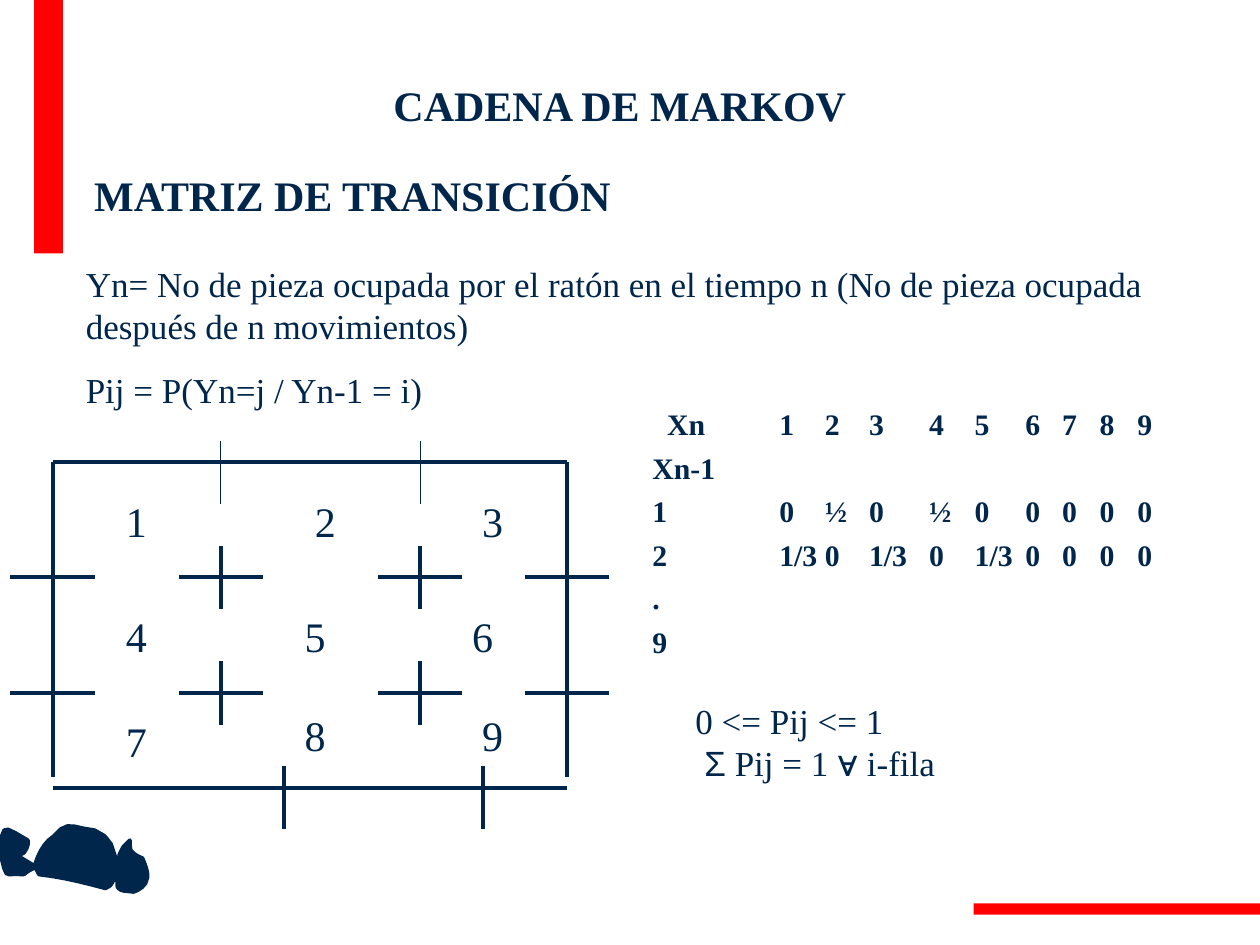
"""Build the slide on the transition matrix of a Markov chain for a mouse in a maze."""
from lxml.etree import SubElement
from pptx import Presentation
from pptx.dml.color import RGBColor
from pptx.enum.shapes import MSO_CONNECTOR, MSO_SHAPE
from pptx.enum.text import PP_ALIGN
from pptx.oxml.ns import qn
from pptx.util import Cm, Pt

NAVY = RGBColor(0x00, 0x26, 0x4C)
RED = RGBColor(0xFF, 0x00, 0x00)

presentation = Presentation()
presentation.slide_width = Cm(25.4)
presentation.slide_height = Cm(19.05)
slide = presentation.slides.add_slide(presentation.slide_layouts[6])


def add_line(x1, y1, x2, y2, weight=2.25):
    line = slide.shapes.add_connector(MSO_CONNECTOR.STRAIGHT, Cm(x1), Cm(y1), Cm(x2), Cm(y2))
    line.line.color.rgb = NAVY
    line.line.width = Pt(weight)
    SubElement(line._element.spPr, qn("a:effectLst"))


def add_text(left, top, width, height, text, size, bold=False, wrap=True):
    box = slide.shapes.add_textbox(Cm(left), Cm(top), Cm(width), Cm(height))
    box.text_frame.word_wrap = wrap
    box.text_frame.text = text
    for paragraph in box.text_frame.paragraphs:
        for run in paragraph.runs:
            run.font.name = "Times New Roman"
            run.font.size = Pt(size)
            run.font.bold = bold
            run.font.color.rgb = NAVY
    return box.text_frame


for left, top, width, height in [(0.69, 0, 0.58, 5.11), (19.63, 18.21, 5.77, 0.23)]:
    bar = slide.shapes.add_shape(MSO_SHAPE.RECTANGLE, Cm(left), Cm(top), Cm(width), Cm(height))
    bar.shadow.inherit = False
    bar.fill.solid()
    bar.fill.fore_color.rgb = RED
    bar.line.fill.background()

wall_left, wall_right, wall_top, wall_bottom = 1.06, 11.43, 9.31, 15.88
door_columns = (4.45, 8.47)
door_rows = (11.64, 13.97)
for y in (wall_top, wall_bottom):
    add_line(wall_left, y, wall_right, y)
for x in (wall_left, wall_right):
    add_line(x, wall_top, x, 15.67)
for x in door_columns:
    add_line(x, 8.89, x, 10.16, 0.75)
    add_line(x + 1.27, 15.45, x + 1.27, 16.72)
for y in door_rows:
    for x in door_columns:
        add_line(x, y - 0.64, x, y + 0.64)
    for x in (wall_left, *door_columns, wall_right):
        add_line(x - 0.85, y, x + 0.85, y)

room_places = [
    (2.29, 9.86), (6.1, 9.86), (9.47, 9.86),
    (2.29, 12.19), (5.89, 12.19), (9.27, 12.19),
    (2.29, 14.3), (5.89, 14.17), (9.47, 14.17),
]
for number, (left, top) in enumerate(room_places, start=1):
    add_text(left, top, 0.91, 1.27, str(number), 24, wrap=False)

mouse_start = (0.71, 17.42)
mouse_curves = [
    (0.79, 17.17, 0.91, 16.97, 1.07, 16.87), (1.37, 16.51, 1.45, 16.69, 1.91, 16.74),
    (2.16, 16.89, 2.06, 16.79, 2.24, 17.02), (2.46, 17.65, 2.34, 17.5, 2.41, 17.22),
    (2.44, 17.17, 2.46, 17.12, 2.49, 17.07), (2.54, 17.02, 2.57, 16.99, 2.62, 16.94),
    (2.62, 17.02, 2.62, 17.09, 2.64, 17.15), (2.72, 17.25, 2.87, 17.3, 2.87, 17.3),
    (2.9, 17.35, 3.0, 17.6, 2.97, 17.7), (2.95, 17.91, 2.69, 17.98, 2.69, 17.98),
    (2.59, 17.96, 2.46, 17.98, 2.39, 17.91), (2.34, 17.88, 2.39, 17.73, 2.34, 17.7),
    (2.31, 17.68, 2.26, 17.81, 2.24, 17.83), (2.21, 17.88, 2.16, 17.88, 2.13, 17.91),
    (1.65, 17.78, 1.24, 17.68, 0.79, 17.63), (0.76, 17.6, 0.74, 17.5, 0.71, 17.5),
    (0.64, 17.5, 0.48, 17.63, 0.48, 17.63), (0.1, 17.58, 0.15, 17.78, 0.03, 17.3),
    (0.03, 17.22, 0, 17.15, 0, 17.07), (0.08, 16.61, 0.05, 16.64, 0.56, 16.94),
    (0.58, 16.97, 0.56, 17.09, 0.51, 17.15), (0.48, 17.22, 0.43, 17.22, 0.38, 17.22),
]
outline = []
x0, y0 = mouse_start
for x1, y1, x2, y2, x3, y3 in mouse_curves:
    for t in (0.2, 0.4, 0.6, 0.8, 1):
        weights = ((1 - t) ** 3, 3 * t * (1 - t) ** 2, 3 * t ** 2 * (1 - t), t ** 3)
        x = sum(w * v for w, v in zip(weights, (x0, x1, x2, x3)))
        y = sum(w * v for w, v in zip(weights, (y0, y1, y2, y3)))
        outline.append((Cm(x), Cm(y)))
    x0, y0 = x3, y3
builder = slide.shapes.build_freeform(Cm(mouse_start[0]), Cm(mouse_start[1]))
builder.add_line_segments(outline, close=False)
mouse = builder.convert_to_shape()
mouse.shadow.inherit = False
mouse.fill.solid()
mouse.fill.fore_color.rgb = NAVY
mouse.line.color.rgb = NAVY
mouse.line.width = Pt(2.25)

definition = add_text(
    1.48, 5.16, 22.66, 3.25,
    "Yn= No de pieza ocupada por el ratón en el tiempo n (No de pieza ocupada "
    "después de n movimientos)\nPij = P(Yn=j / Yn-1 = i)", 20)
definition.paragraphs[1].space_before = Pt(12.5)

matrix_rows = [
    ["", "Xn", "1", "2", "3", "4", "5", "6", "7", "8", "9"],
    ["Xn-1"],
    ["1", "0", "½", "0", "½", "0", "0", "0", "0", "0"],
    ["2", "1/3", "0", "1/3", "0", "1/3", "0", "0", "0", "0"],
    ["."],
    ["9"],
]
matrix_stops = [2.56, 3.48, 4.37, 5.58, 6.5, 7.52, 8.26, 9.02, 9.78]
matrix = add_text(12.9, 8.38, 11.33, 5.31, "\n".join("\t".join(row) for row in matrix_rows), 17, bold=True)
matrix.margin_top = matrix.margin_bottom = 0
for index, paragraph in enumerate(matrix.paragraphs):
    paragraph.line_spacing = 0.7
    if index:
        paragraph.space_before = Pt(10.6)
    tab_list = SubElement(paragraph._p.get_or_add_pPr(), qn("a:tabLst"))
    for stop in matrix_stops if index else [0.3, *matrix_stops]:
        SubElement(tab_list, qn("a:tab"), pos=str(Cm(stop)), algn="l")

conditions = add_text(13.77, 13.97, 8.05, 1.96, "0 <= Pij <= 1", 20)
sum_rule = conditions.add_paragraph()
sum_rule._p.get_or_add_pPr().set("marL", str(Cm(0.18)))
for text, font_name in [("Σ", "Arial"), (" Pij = 1 ", "Times New Roman"),
                        ("∀", "Arial"), (" i-fila", "Times New Roman")]:
    run = sum_rule.add_run()
    run.text = text
    run.font.name = font_name
    run.font.size = Pt(20)
    run.font.color.rgb = NAVY

title = add_text(1.7, 1.47, 21.59, 1.27, "CADENA DE MARKOV", 24, bold=True)
title.paragraphs[0].alignment = PP_ALIGN.CENTER
add_text(1.65, 3.3, 11, 1.27, "MATRIZ DE TRANSICIÓN", 24, bold=True, wrap=False)

presentation.save("out.pptx")
